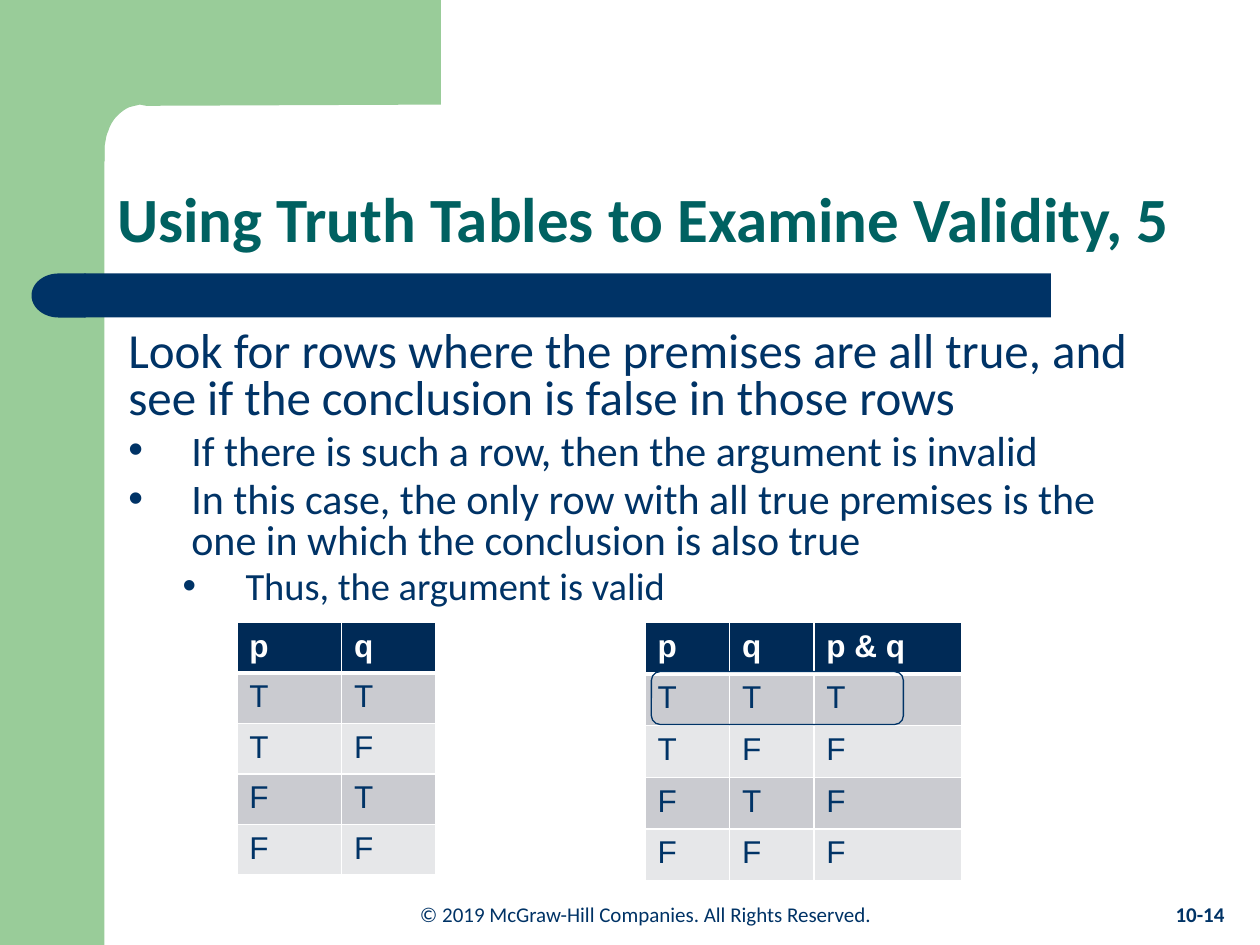
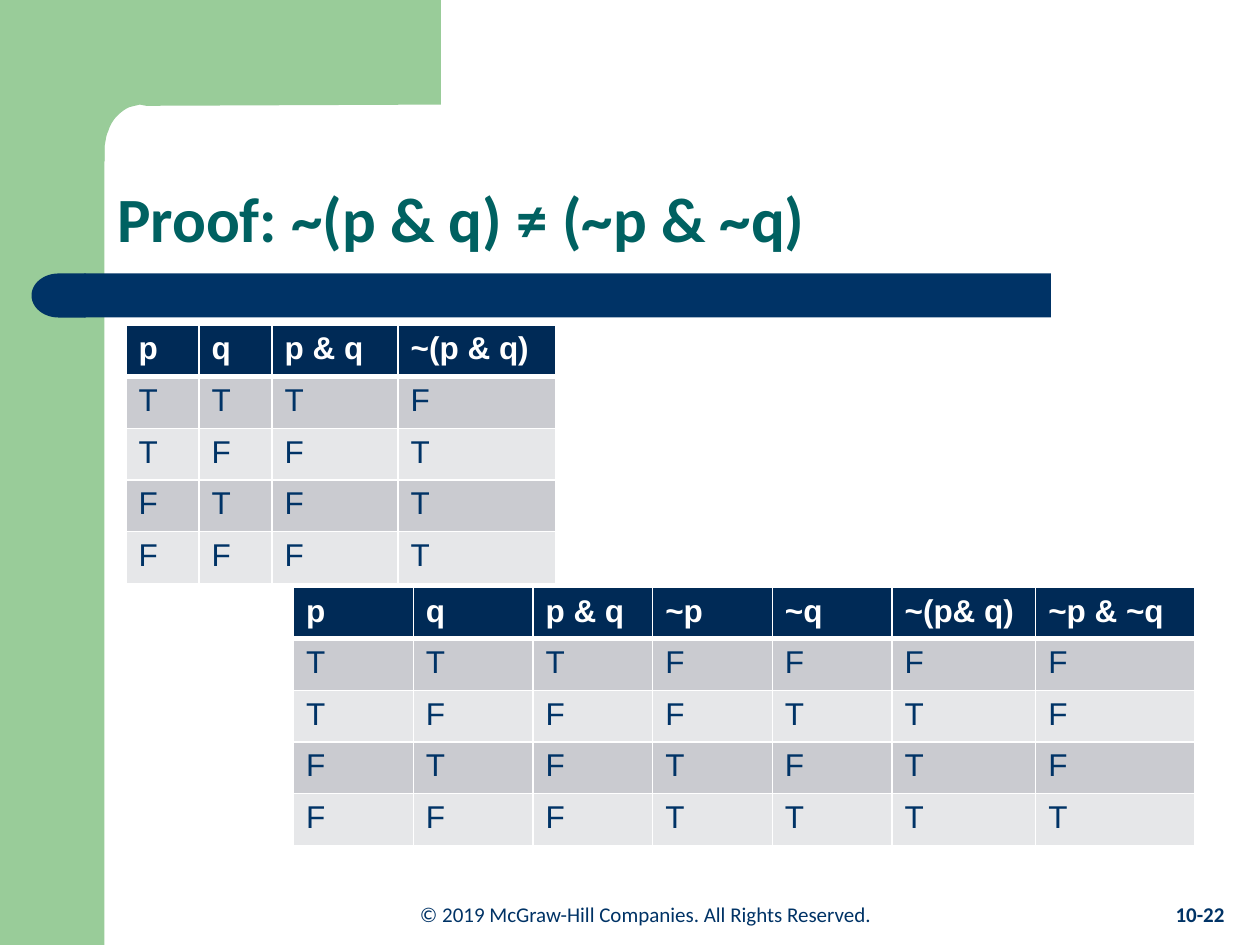
from itertools import product

from lxml import etree
from pptx import Presentation
from pptx import util as u
from pptx.dml.color import RGBColor
from pptx.enum import shapes, text
from pptx.oxml.ns import qn

COLORS = {
    "navy": "003366",
    "green": "99CC99",
    "teal": "006161",
    "header": "002A56",
    "dark_row": "CACBD0",
    "light_row": "E6E7E9",
    "white": "FFFFFF",
}
FOOTER = "© 2019 McGraw-Hill Companies. All Rights Reserved."

# Truth function behind each column heading
FORMULAS = {
    "p": lambda p, q: p,
    "q": lambda p, q: q,
    "p & q": lambda p, q: p and q,
    "~p": lambda p, q: not p,
    "~q": lambda p, q: not q,
    "~(p & q)": lambda p, q: not (p and q),
    "~(p& q)": lambda p, q: not (p and q),
    "~p & ~q": lambda p, q: not p and not q,
}


def rgb(name):
    return RGBColor.from_string(COLORS[name])


def inches(*lengths):
    return [u.Inches(length) for length in lengths]


def add_bullet(para, indent, hanging=0.5):
    properties = para._p.get_or_add_pPr()
    properties.set("marL", str(u.Inches(indent)))
    properties.set("indent", str(-u.Inches(hanging)))
    color = etree.SubElement(properties, qn("a:buClr"))
    etree.SubElement(color, qn("a:srgbClr"), val=COLORS["navy"])
    etree.SubElement(properties, qn("a:buFont"), typeface="Arial")
    etree.SubElement(properties, qn("a:buChar"), char="•")


def write(frame, words, size=12, color="navy", bold=False, font="Calibri",
          align=text.PP_ALIGN.LEFT, spacing=None, before=0, level=0, indent=None):
    """Fill the empty first paragraph of a frame, or add one after it."""
    para = frame.paragraphs[0] if not frame.text else frame.add_paragraph()
    para.level = level
    if indent is not None:
        add_bullet(para, indent)
    para.alignment = align
    para.space_before = u.Pt(before)
    if spacing:
        para.line_spacing = spacing
    span = para.add_run()
    span.text = words
    span.font.size = u.Pt(size)
    span.font.name = font
    span.font.bold = bold
    span.font.color.rgb = rgb(color)


def add_text_box(page, *place):
    frame = page.shapes.add_textbox(*inches(*place)).text_frame
    frame.word_wrap = True
    return frame


def paint(shape, fill):
    shape.shadow.inherit = False
    shape.fill.solid()
    shape.fill.fore_color.rgb = rgb(fill)
    shape.line.fill.background()


def add_block(page, kind, fill, *place):
    block = page.shapes.add_shape(kind, *inches(*place))
    paint(block, fill)
    return block


def curve_points(start, control1, control2, end, steps=8):
    """Points along a cubic curve, without its start."""
    for step in range(1, steps + 1):
        t = step / steps
        weights = ((1 - t) ** 3, 3 * t * (1 - t) ** 2, 3 * t ** 2 * (1 - t), t ** 3)
        yield tuple(sum(w * point[axis] for w, point in
                        zip(weights, (start, control1, control2, end)))
                    for axis in (0, 1))


def add_corner(page):
    """Green top band with a rounded inner corner."""
    points = [(3.5, 0), (3.5, 0.83), (1.16, 0.84), (1.11, 0.83), (1.03, 0.85)]
    for bend in (((1, 0.86), (0.96, 0.89), (0.93, 0.92)),
                 ((0.9, 0.95), (0.87, 1), (0.86, 1.04)),
                 ((0.84, 1.08), (0.84, 1.12), (0.83, 1.16))):
        points += curve_points(points[-1], *bend)
    points += [(0.83, 1.28), (0.5, 1.28), (0.5, 0)]
    outline = [inches(*point) for point in points]
    builder = page.shapes.build_freeform(*outline[0])
    builder.add_line_segments(outline[1:], close=True)
    paint(builder.convert_to_shape(), "green")


def add_page(deck, title, number):
    page = deck.slides.add_slide(deck.slide_layouts[5])
    kinds = shapes.MSO_SHAPE
    add_block(page, kinds.RECTANGLE, "green", 0, 0, 0.83, 7.5)
    add_corner(page)
    add_block(page, kinds.RECTANGLE, "navy", 0.67, 2.17, 7.67, 0.35)
    add_block(page, kinds.FLOWCHART_DELAY, "navy", 0.25, 2.17, 0.43, 0.35).rotation = 180

    heading = page.shapes.title
    heading.left, heading.top, heading.width, heading.height = inches(0.83, 0.83, 8.67, 1.25)
    frame = heading.text_frame
    frame.auto_size = text.MSO_AUTO_SIZE.NONE
    frame.vertical_anchor = text.MSO_ANCHOR.BOTTOM
    write(frame, title, size=36, color="teal", bold=True, spacing=0.9)

    center = text.PP_ALIGN.CENTER
    write(add_text_box(page, 0.92, 7.11, 8.41, 0.3), FOOTER, align=center)
    write(add_text_box(page, 9.11, 7.11, 0.83, 0.3), number, bold=True, align=center)
    return page


def add_borders(cell, **widths):
    """White lines on a cell; widths in points by side: L, R, T, B."""
    properties = cell._tc.get_or_add_tcPr()
    for side in "LRTB":
        line = etree.SubElement(properties, qn(f"a:ln{side}"),
                                w=str(u.Pt(widths.get(side, 1))))
        fill = etree.SubElement(line, qn("a:solidFill"))
        etree.SubElement(fill, qn("a:srgbClr"), val=COLORS["white"])


def add_truth_table(page, left, top, row_height, columns):
    """columns maps each heading to its width."""
    cases = list(product((True, False), repeat=2))
    rows = [list(columns)]
    rows += [["T" if FORMULAS[name](*case) else "F" for name in columns] for case in cases]
    place = inches(left, top, sum(columns.values()), row_height * len(rows))
    table = page.shapes.add_table(len(rows), len(columns), *place).table
    for column, width in zip(table.columns, columns.values()):
        column.width = u.Inches(width)
    for r, values in enumerate(rows):
        table.rows[r].height = u.Inches(row_height)
        is_header = r == 0
        fill = "header" if is_header else ("light_row", "dark_row")[r % 2]
        for c, value in enumerate(values):
            cell = table.cell(r, c)
            add_borders(cell, B=3 if is_header else 1, T=3 if r == 1 else 1)
            cell.fill.solid()
            cell.fill.fore_color.rgb = rgb(fill)
            write(cell.text_frame, value, size=18, font="Arial", bold=is_header,
                  color="white" if is_header else "navy")


def add_row_marker(page, *place):
    marker = page.shapes.add_shape(shapes.MSO_SHAPE.ROUNDED_RECTANGLE, *inches(*place))
    marker.shadow.inherit = False
    marker.fill.background()
    marker.line.color.rgb = rgb("navy")
    marker.line.width = u.Pt(0.75)


def build_validity_page(deck):
    page = add_page(deck, "Using Truth Tables to Examine Validity, 5", "10-14")
    body = add_text_box(page, 0.92, 2.58, 8.41, 4.07)
    write(body, "Look for rows where the premises are all true, and see if the "
                "conclusion is false in those rows", size=28, spacing=0.8)
    for point in ("If there is such a row, then the argument is invalid",
                  "In this case, the only row with all true premises is the one "
                  "in which the conclusion is also true"):
        write(body, point, size=24, spacing=0.8, before=4.8, indent=0.5)
    write(body, "Thus, the argument is valid", size=22, spacing=0.8, before=4.4,
          level=1, indent=0.93)
    add_truth_table(page, 1.88, 4.94, 0.38, {"p": 0.83, "q": 0.75})
    add_truth_table(page, 5.12, 4.94, 0.41, {"p": 0.67, "q": 0.67, "p & q": 1.17})
    add_row_marker(page, 5.17, 5.33, 2, 0.42)


def build_proof_page(deck):
    page = add_page(deck, "Proof: ~(p & q) ≠ (~p & ~q)", "10-22")
    add_truth_table(page, 1, 2.58, 0.41,
                    {"p": 0.58, "q": 0.58, "p & q": 1, "~(p & q)": 1.25})
    columns = dict.fromkeys(("p", "q", "p & q", "~p", "~q"), 0.95)
    columns.update({"~(p& q)": 1.14, "~p & ~q": 1.26})
    add_truth_table(page, 2.33, 4.66, 0.41, columns)


def main():
    deck = Presentation()
    deck.slide_width, deck.slide_height = inches(10, 7.5)
    build_validity_page(deck)
    build_proof_page(deck)
    deck.save("out.pptx")


if __name__ == "__main__":
    main()
